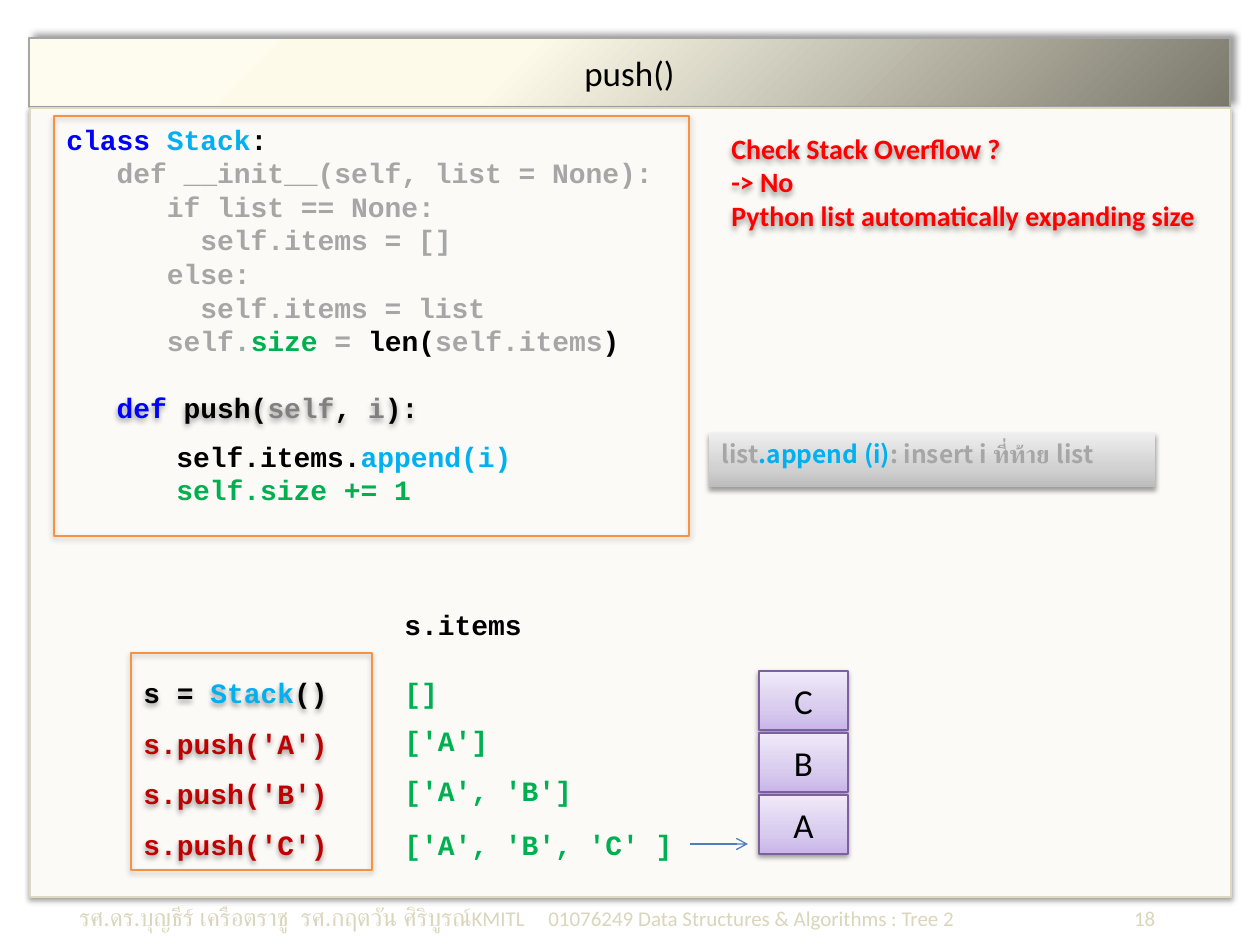
from dataclasses import dataclass
from lxml.etree import SubElement as Sub
from pptx import Presentation
from pptx.dml.color import RGBColor as RGB
from pptx.enum.shapes import MSO_CONNECTOR as Conn, MSO_SHAPE as Geom
from pptx.enum.text import MSO_ANCHOR as Anchor, PP_ALIGN as Align
from pptx.oxml.ns import qn
from pptx.util import Pt

EMU = 914400 / 126


def px(n):
    return round(n * EMU)


@dataclass(frozen=True)
class Theme:
    black: str = "000000"
    blue: str = "0000FF"
    sky: str = "00B0F0"
    green: str = "00B050"
    red: str = "FF0000"
    wine: str = "C00000"
    gray: str = "A6A6A6"
    dark: str = "808080"
    sand: str = "DAD5BC"
    edge: str = "DDD9C3"
    paper: str = "FBFAF7"
    amber: str = "F69240"
    plum: str = "7D60A0"
    steel: str = "4B7EBC"
    bar: tuple = ((0, "FEFCEE"), (40, "FDFAEA"), (100, "7B796B"))
    lilac: tuple = ((0, "C9B5E8"), (35, "D8CBEE"), (100, "F0EAF9"))
    ash: tuple = ((0, "BDBDBD"), (35, "D1D1D1"), (100, "EEEEEE"))
    big: int = 20
    mid: int = 16
    note: int = 14
    small: int = 12
    line: float = 19.2
    body: str = "Calibri"
    code: str = "Courier New"
    sans: str = "Noto Sans CJK JP"


T = Theme()


class Deck:
    def __init__(self, theme):
        self.t = theme
        self.prs = Presentation()
        self.prs.slide_width, self.prs.slide_height = px(1260), px(945)
        self.slide = self.prs.slides.add_slide(self.prs.slide_layouts[5])

    def place(self, shape, box):
        shape.left, shape.top, shape.width, shape.height = map(px, box)

    def shade(self, shape, blur=3.1, dist=1.6, ang=90, alpha=38):
        shape.shadow.inherit = False
        fx = shape._element.spPr.find(qn("a:effectLst"))
        out = Sub(fx, qn("a:outerShdw"), blurRad=str(Pt(blur)), dist=str(Pt(dist)),
                  dir=str(ang * 60000), rotWithShape="0")
        color = Sub(out, qn("a:srgbClr"), val=self.t.black)
        Sub(color, qn("a:alpha"), val=str(alpha * 1000))

    def blend(self, shape, stops, ang):
        shape.fill.gradient()
        shape.fill.gradient_angle = 360 - ang
        group = shape._element.spPr.find(qn("a:gradFill")).find(qn("a:gsLst"))
        for old in list(group):
            group.remove(old)
        for pos, color in stops:
            stop = Sub(group, qn("a:gs"), pos=str(pos * 1000))
            Sub(stop, qn("a:srgbClr"), val=color)

    def paint(self, shape, fill=None, edge=None, ang=270):
        if fill is None:
            shape.fill.background()
        elif isinstance(fill, tuple):
            self.blend(shape, fill, ang)
        else:
            shape.fill.solid()
            shape.fill.fore_color.rgb = RGB.from_string(fill)
        if edge:
            shape.line.color.rgb = RGB.from_string(edge)
            shape.line.width = Pt(0.75)
        else:
            shape.line.fill.background()

    def words(self, shape, lines, font, size, bold=False, pitch=None,
              align=Align.LEFT, anchor=Anchor.TOP):
        frame = shape.text_frame
        frame.word_wrap = True
        frame.vertical_anchor = anchor
        for i, parts in enumerate(lines):
            para = frame.add_paragraph() if i else frame.paragraphs[0]
            para.alignment = align
            if pitch:
                para.line_spacing = Pt(pitch)
            for text, color in parts:
                self.span(para, text, color, font, size, bold)

    def span(self, para, text, color, font, size, bold=False):
        run = para.add_run()
        run.text = text
        run.font.name, run.font.size, run.font.bold = font, Pt(size), bold
        run.font.color.rgb = RGB.from_string(color)

    def title(self, text, box):
        shape = self.slide.shapes.title
        self.place(shape, box)
        self.paint(shape, self.t.bar, self.t.gray, 45)
        self.shade(shape, 4, 3, 315, 40)
        self.words(shape, [[(text, self.t.black)]], self.t.body, self.t.big,
                   align=Align.CENTER, anchor=Anchor.MIDDLE)

    def rect(self, box, fill=None, edge=None):
        shape = self.slide.shapes.add_shape(Geom.RECTANGLE, *map(px, box))
        self.paint(shape, fill, edge)
        self.shade(shape)
        return shape

    def text(self, box):
        return self.slide.shapes.add_textbox(*map(px, box))

    def code(self, shape, lines, pitch=None):
        self.words(shape, lines, self.t.code, self.t.mid, True, pitch or self.t.line)

    def block(self, box, name):
        shape = self.rect(box, self.t.lilac, self.t.plum)
        self.words(shape, [[(name, self.t.black)]], self.t.body, self.t.big,
                   align=Align.CENTER, anchor=Anchor.MIDDLE)

    def arrow(self, x1, y1, x2, y2):
        line = self.slide.shapes.add_connector(Conn.STRAIGHT, *map(px, (x1, y1, x2, y2)))
        line.line.color.rgb = RGB.from_string(self.t.steel)
        line.line.width = Pt(0.75)
        Sub(line.line._get_or_add_ln(), qn("a:tailEnd"), type="arrow")
        Sub(line._element.spPr, qn("a:effectLst"))

    def foot(self, box, parts, stops):
        para = self.text(box).text_frame.paragraphs[0]
        tabs = Sub(para._p.get_or_add_pPr(), qn("a:tabLst"))
        for pos, kind in stops:
            Sub(tabs, qn("a:tab"), pos=str(px(pos)), algn=kind)
        for text, size in parts:
            self.span(para, text, self.t.sand, self.t.body, size)


def main():
    deck = Deck(T)
    deck.rect((30, 108, 1201, 789), T.paper, T.edge)
    deck.title("push()", (29, 38, 1201, 69))
    deck.foot((67, 896, 1131, 47),
              [("รศ.ดร.บุญธีร์ เครือตราชู  รศ.กฤตวัน ศิริบูรณ์", T.note),
               ("KMITL", T.small),
               ("\t01076249 Data Structures & Algorithms : Tree 2", T.small),
               ("\t18", T.small)],
              [(469, "l"), (1076, "r")])

    frame = deck.rect((54, 116, 635, 420), edge=T.amber)
    frame.text_frame.margin_top = px(275)
    deck.code(frame, [[("   def ", T.blue), ("push(", T.black), ("self", T.dark),
                       (", ", T.black), ("i", T.dark), ("):", T.black)]])
    deck.code(deck.text((54, 116, 630, 251)), [
        [("class ", T.blue), ("Stack", T.sky), (":", T.black)],
        [("   def __init__(self, list = None):", T.gray)],
        [("      if list == None:", T.gray)],
        [("        self.items = []", T.gray)],
        [("      else:", T.gray)],
        [("        self.items = list", T.gray)],
        [("      self.", T.gray), ("size", T.green), (" = ", T.gray),
         ("len(", T.black), ("self.items", T.gray), (")", T.black)]])
    deck.code(deck.text((164, 433, 366, 81)), [
        [("self.items.", T.black), ("append(i)", T.sky)],
        [("self.size += 1", T.green)]])

    check = deck.text((719, 125, 515, 115))
    deck.shade(check)
    deck.words(check, [[(text, T.red)] for text in (
        "Check Stack Overflow ?", "-> No",
        "Python list automatically expanding size")], T.body, T.mid, True)
    hint = deck.rect((709, 433, 446, 54), T.ash)
    deck.words(hint, [[("list", T.gray), (".append (i)", T.sky),
                       (": insert i ที่ท้าย list", T.gray)]], T.sans, T.note, True)

    calls = deck.rect((131, 653, 241, 217), edge=T.amber)
    deck.code(calls, [[("s = ", T.black), ("Stack", T.sky), ("()", T.black)]]
              + [[(f"s.push('{name}')", T.wine)] for name in "ABC"], 1.5 * T.line)
    for y, text, color in ((601, "s.items", T.black), (669, "[]", T.green),
                           (717, "['A']", T.green), (767, "['A', 'B']", T.green),
                           (821, "['A', 'B', 'C' ]", T.green)):
        deck.code(deck.text((392, y, 300, 47)), [[(text, color)]])

    for i, name in enumerate("CBA"):
        deck.block((759, 671 + 62 * i, 89, 59), name)
    deck.arrow(690, 844, 748, 844)
    deck.prs.save("out.pptx")


if __name__ == "__main__":
    main()
